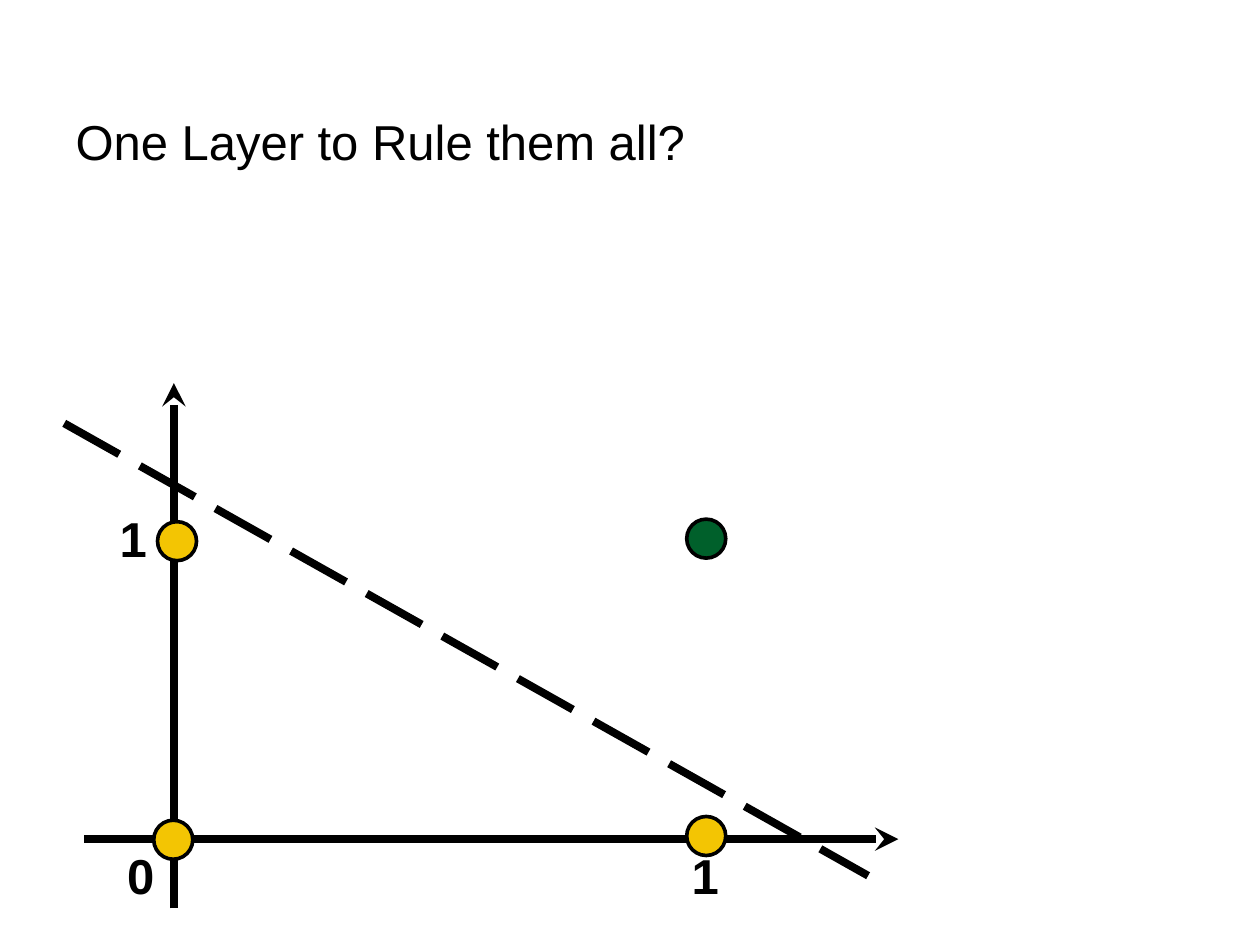
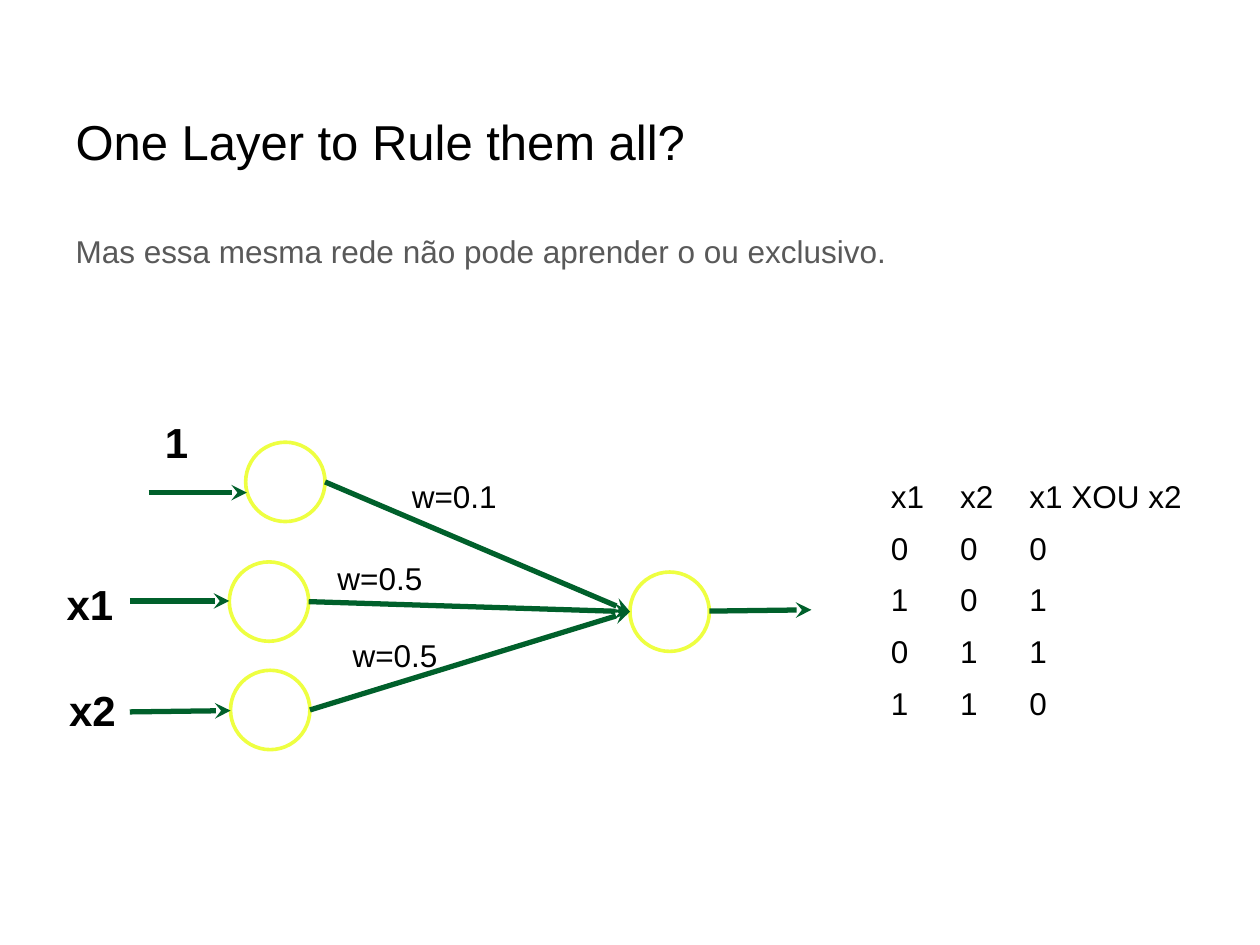
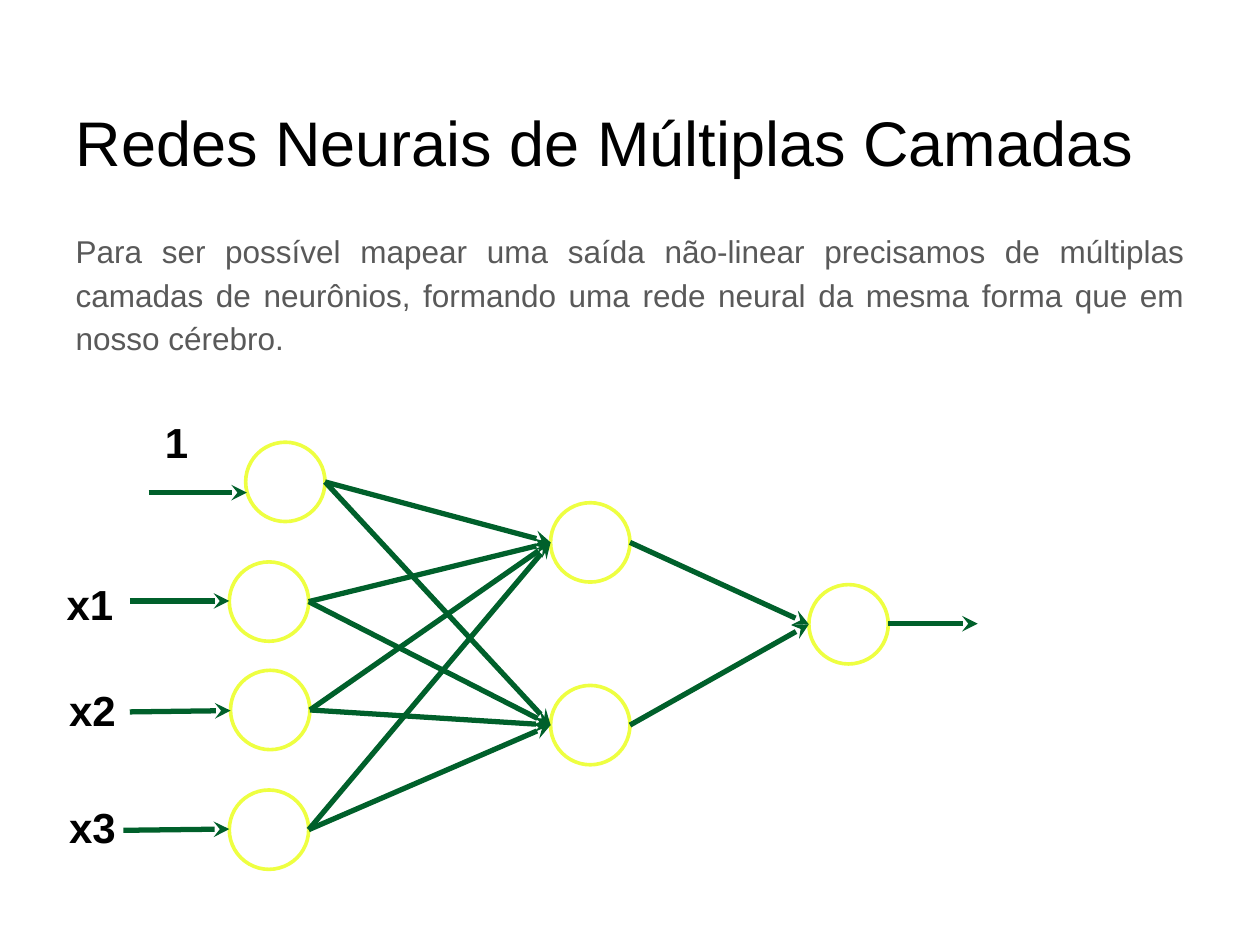
from lxml.etree import SubElement
from pptx import Presentation
from pptx.dml.color import RGBColor
from pptx.enum.dml import MSO_LINE
from pptx.enum.shapes import MSO_CONNECTOR as Connector, MSO_SHAPE as Shape
from pptx.enum.text import MSO_ANCHOR as Anchor, MSO_AUTO_SIZE as AutoSize, PP_ALIGN as Align
from pptx.oxml.ns import qn
from pptx.util import Inches, Pt

COLORS = {
    "black": "000000",
    "white": "FFFFFF",
    "gray": "595959",
    "green": "00602B",
    "gold": "F3C503",
    "lime": "EEFF41",
}
FONT = "Arial"
TITLE_ONLY, TITLE_AND_BODY = 5, 1
NODE_SIZE = 0.63
POINT_SIZE = 0.31
BIAS_NODE = (1.95, 3.51)
X1_NODE = (1.82, 4.46)
X2_NODE = (1.83, 5.32)
X3_NODE = (1.82, 6.27)
BIAS_INPUT = ("1", (1.21, 3.26, 0.39), (1.18, 3.91), (1.96, 3.91))
X1_INPUT = ("x1", (0.43, 4.54, 0.58), (1.03, 4.77), (1.82, 4.77))
X2_INPUT = ("x2", (0.45, 5.38, 0.58), (1.03, 5.65), (1.83, 5.64))
X3_INPUT = ("x3", (0.45, 6.31, 0.58), (0.98, 6.59), (1.82, 6.58))
TRUTH_TABLE = [
    ("x1", "x2", "x1 XOU x2"),
    ("0", "0", "0"),
    ("1", "0", "1"),
    ("0", "1", "1"),
    ("1", "1", "0"),
]


def color(name):
    return RGBColor.from_string(COLORS[name])


def add_span(para, text, size, tint="black", bold=False):
    span = para.add_run()
    span.text = text
    span.font.name = FONT
    span.font.size = Pt(size)
    span.font.bold = bold
    span.font.color.rgb = color(tint)


def place(shape, left, top, width, height):
    shape.left, shape.top = Inches(left), Inches(top)
    shape.width, shape.height = Inches(width), Inches(height)


def add_page(deck, layout, title, size):
    page = deck.slides.add_slide(deck.slide_layouts[layout])
    place(page.shapes.title, 0.5, 0.58, 9, 1.08)
    frame = page.shapes.title.text_frame
    frame.auto_size = AutoSize.NONE
    frame.vertical_anchor = Anchor.MIDDLE
    para = frame.paragraphs[0]
    para.alignment = Align.LEFT
    add_span(para, title, size)
    return page


def fill_body(page, text):
    body = page.placeholders[1]
    place(body, 0.5, 1.75, 9, 5.33)
    body.text_frame.auto_size = AutoSize.NONE
    para = body.text_frame.paragraphs[0]
    properties = para._p.get_or_add_pPr()
    properties.set("marL", "0")
    properties.set("indent", "0")
    SubElement(properties, qn("a:buNone"))
    para.alignment = Align.JUSTIFY
    para.line_spacing = 1.15
    para.space_before = Pt(0)
    para.space_after = Pt(12)
    add_span(para, text, 18, "gray")


def add_label(page, text, left, top, width, height, size, bold=True):
    box = page.shapes.add_textbox(Inches(left), Inches(top), Inches(width), Inches(height))
    box.text_frame.word_wrap = False
    add_span(box.text_frame.paragraphs[0], text, size, bold=bold)


def add_circle(page, corner, size, fill, outline):
    left, top = corner
    circle = page.shapes.add_shape(
        Shape.OVAL, Inches(left), Inches(top), Inches(size), Inches(size))
    circle.shadow.inherit = False
    circle.fill.solid()
    circle.fill.fore_color.rgb = color(fill)
    circle.line.color.rgb = color(outline)
    circle.line.width = Pt(2.08)


def add_line(page, start, end, tint, width):
    line = page.shapes.add_connector(Connector.STRAIGHT, *map(Inches, start + end))
    line.line.color.rgb = color(tint)
    line.line.width = Pt(width)
    SubElement(line.element.spPr, qn("a:effectLst"))
    return line


def add_arrow(page, start, end, tint="green", width=3):
    arrow = add_line(page, start, end, tint, width)
    SubElement(arrow.get_or_add_ln(), qn("a:tailEnd"), type="stealth")


def add_layers(page, layers):
    for layer in layers:
        for node in layer:
            add_circle(page, node, NODE_SIZE, "white", "lime")
    half = NODE_SIZE / 2
    for sources, targets in zip(layers, layers[1:]):
        for left, top in sources:
            for target_left, target_top in targets:
                add_arrow(page, (left + NODE_SIZE, top + half),
                          (target_left, target_top + half))


def add_inputs(page, inputs):
    for text, (left, top, width), start, end in inputs:
        add_label(page, text, left, top, width, 0.5, 24)
        add_arrow(page, start, end)


def add_truth_table(page, rows):
    widths = (0.55, 0.55, 1.51)
    row_height = 0.41
    table = page.shapes.add_table(
        len(rows), len(widths), Inches(6.97), Inches(3.76),
        Inches(sum(widths)), Inches(row_height * len(rows))).table
    table.first_row = False
    table.horz_banding = False
    for column, width in zip(table.columns, widths):
        column.width = Inches(width)
    for row, values in zip(table.rows, rows):
        row.height = Inches(row_height)
        for cell, value in zip(row.cells, values):
            cell.fill.background()
            add_span(cell.text_frame.paragraphs[0], value, 18)


def build_decision_plot(deck):
    page = add_page(deck, TITLE_ONLY, "One Layer to Rule them all?", 28)
    add_arrow(page, (1.38, 7.21), (1.38, 3.04), "black", 4.5)
    add_arrow(page, (0.67, 6.66), (7.13, 6.66), "black", 4.5)
    for corner, fill in [((1.25, 4.14), "gold"), ((1.22, 6.51), "gold"),
                         ((5.45, 6.48), "gold"), ((5.45, 4.12), "green")]:
        add_circle(page, corner, POINT_SIZE, fill, "black")
    boundary = add_line(page, (0.51, 3.36), (6.89, 6.95), "black", 4.5)
    boundary.line.dash_style = MSO_LINE.LONG_DASH
    for text, left, top in [("0", 0.91, 6.66), ("1", 0.85, 3.99), ("1", 5.39, 6.66)]:
        add_label(page, text, left, top, 0.42, 0.57, 28)


def build_single_layer(deck):
    page = add_page(deck, TITLE_AND_BODY, "One Layer to Rule them all?", 28)
    fill_body(page, "Mas essa mesma rede não pode aprender o ou exclusivo.")
    add_layers(page, [[BIAS_NODE, X1_NODE, X2_NODE], [(5, 4.54)]])
    add_inputs(page, [BIAS_INPUT, X1_INPUT, X2_INPUT])
    add_arrow(page, (5.63, 4.85), (6.44, 4.84))
    add_truth_table(page, TRUTH_TABLE)
    for text, left, top in [("w=0.1", 3.17, 3.74), ("w=0.5", 2.58, 4.39), ("w=0.5", 2.7, 5)]:
        add_label(page, text, left, top, 0.88, 0.4, 18, bold=False)


def build_multiple_layers(deck):
    page = add_page(deck, TITLE_AND_BODY, "Redes Neurais de Múltiplas Camadas", 36)
    fill_body(page, "Para ser possível mapear uma saída não-linear precisamos de múltiplas "
                    "camadas de neurônios, formando uma rede neural da mesma forma que em "
                    "nosso cérebro.")
    add_layers(page, [[BIAS_NODE, X1_NODE, X2_NODE, X3_NODE],
                      [(4.37, 3.99), (4.37, 5.44)], [(6.42, 4.64)]])
    add_inputs(page, [BIAS_INPUT, X1_INPUT, X2_INPUT, X3_INPUT])
    add_arrow(page, (7.05, 4.95), (7.76, 4.95))


def main():
    deck = Presentation()
    deck.slide_width, deck.slide_height = Inches(10), Inches(7.5)
    build_decision_plot(deck)
    build_single_layer(deck)
    build_multiple_layers(deck)
    deck.save("out.pptx")


if __name__ == "__main__":
    main()
